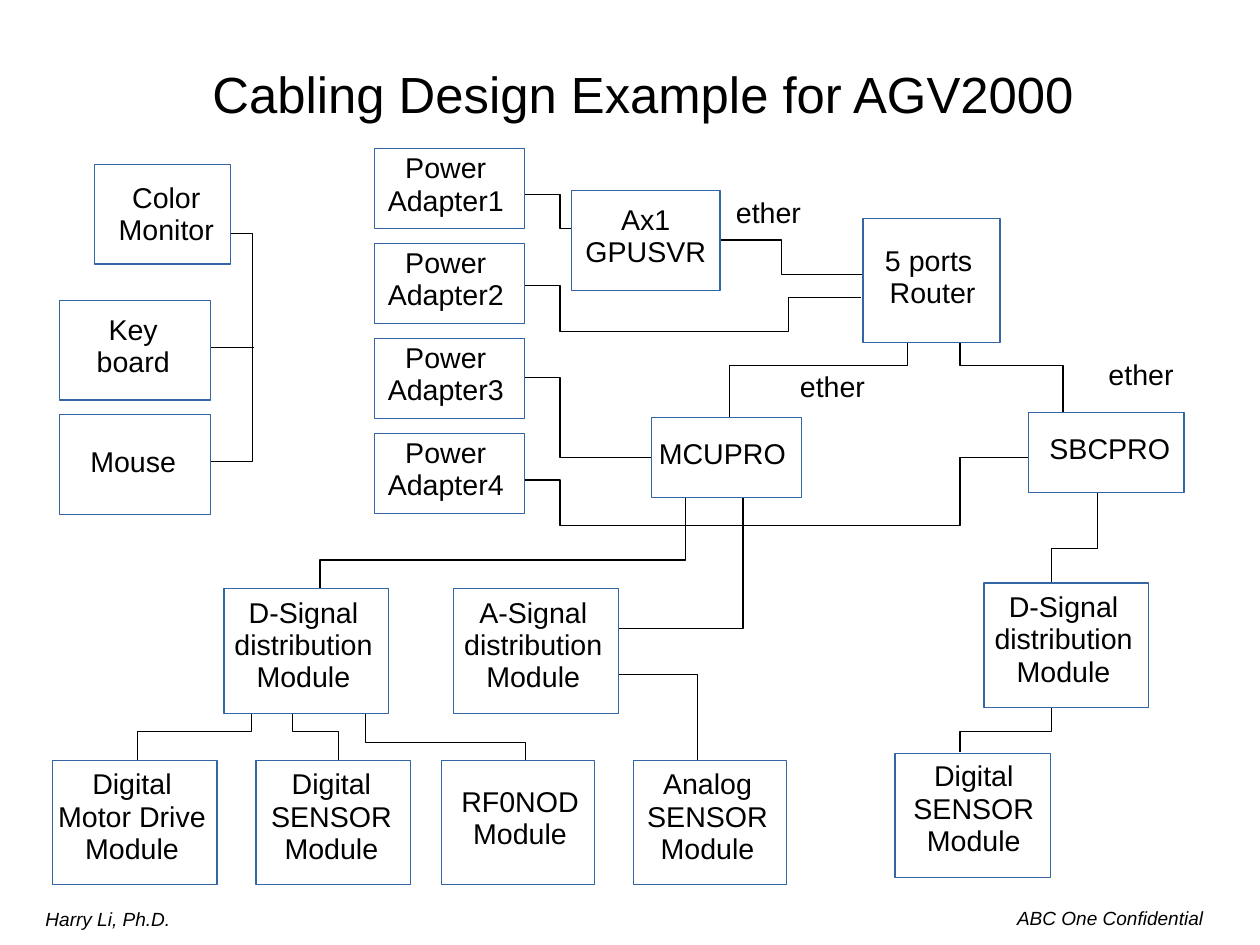
from dataclasses import dataclass

import pptx
import pptx.dml.color
import pptx.enum.shapes
import pptx.enum.text
import pptx.oxml.ns
import pptx.shapes.base
import pptx.slide
import pptx.util
from lxml import etree

Inches = pptx.util.Inches
Pt = pptx.util.Pt

BLACK = pptx.dml.color.RGBColor(0x00, 0x00, 0x00)
WHITE = pptx.dml.color.RGBColor(0xFF, 0xFF, 0xFF)
BORDER_BLUE = pptx.dml.color.RGBColor(0x34, 0x65, 0xA4)

LEFT = pptx.enum.text.PP_ALIGN.LEFT
CENTER = pptx.enum.text.PP_ALIGN.CENTER
LINE_WIDTH = Pt(0.75)
CENTIMETERS_PER_INCH = 2.54

FRAME_FORMAT = {
    "word_wrap": True,
    "margin_left": Inches(0.1),
    "margin_right": Inches(0.1),
    "margin_top": Inches(0.05),
    "margin_bottom": Inches(0.05),
}
TITLE_FRAME_FORMAT = FRAME_FORMAT | {
    "margin_left": 0,
    "margin_right": 0,
    "margin_top": Inches(0.04),
    "margin_bottom": 0,
    "vertical_anchor": pptx.enum.text.MSO_ANCHOR.MIDDLE,
}
FONT_FORMAT = {"name": "Arial", "size": Pt(18), "italic": False}
TITLE_FONT_FORMAT = FONT_FORMAT | {"size": Pt(32)}
FOOTER_FONT_FORMAT = FONT_FORMAT | {"size": Pt(12), "italic": True}


@dataclass(frozen=True)
class Area:
    left: float
    top: float
    width: float
    height: float

    def lengths(self) -> list[int]:
        return [Inches(value) for value in (self.left, self.top, self.width, self.height)]


@dataclass(frozen=True)
class Block:
    text: str
    box: Area
    text_area: Area


@dataclass(frozen=True)
class Cable:
    points: tuple[tuple[float, float], ...]


ADAPTERS = [
    Block(
        f"Power\nAdapter{number + 1}",
        Area(3.28, 1.3 + 0.83 * number, 1.31, 0.7),
        Area(3.1, 1.29 + 0.83 * number, 1.6, 0.68),
    )
    for number in range(4)
]
DISTRIBUTORS = [
    Block(
        f"{signal}-Signal distribution Module",
        Area(left, top, 1.44, 1.09),
        Area(left - 0.05, top + 0.03, 1.49, 0.96),
    )
    for signal, left, top in (("D", 1.96, 5.15), ("A", 3.97, 5.15), ("D", 8.61, 5.1))
]
BLOCKS = ADAPTERS + DISTRIBUTORS + [
    Block("Ax1 GPUSVR", Area(5, 1.67, 1.3, 0.87), Area(5, 1.74, 1.3, 0.68)),
    Block("5 ports \nRouter", Area(7.55, 1.91, 1.2, 1.09), Area(7.53, 2.1, 1.26, 0.68)),
    Block("MCUPRO", Area(5.7, 3.65, 1.31, 0.7), Area(5.52, 3.79, 1.6, 0.4)),
    Block("SBCPRO", Area(9, 3.61, 1.36, 0.7), Area(8.91, 3.75, 1.6, 0.4)),
    Block("Color Monitor", Area(0.83, 1.44, 1.19, 0.87), Area(0.89, 1.55, 1.13, 0.68)),
    Block("Key\nboard", Area(0.52, 2.63, 1.32, 0.87), Area(0.66, 2.7, 1.01, 0.68)),
    Block("Mouse", Area(0.52, 3.63, 1.32, 0.87), Area(0.66, 3.86, 1.01, 0.54)),
    Block("Digital\nMotor Drive\nModule", Area(0.46, 6.65, 1.44, 1.09), Area(0.41, 6.68, 1.49, 0.96)),
    Block("Digital SENSOR\nModule", Area(2.24, 6.65, 1.35, 1.09), Area(2.1, 6.68, 1.6, 0.96)),
    Block("RF0NOD\nModule", Area(3.86, 6.65, 1.34, 1.09), Area(3.9, 6.83, 1.3, 0.68)),
    Block("Analog\nSENSOR\nModule", Area(5.54, 6.65, 1.34, 1.09), Area(5.5, 6.68, 1.38, 0.96)),
    Block("Digital SENSOR\nModule", Area(7.83, 6.59, 1.36, 1.09), Area(7.85, 6.61, 1.34, 0.96)),
]
CABLES = [
    Cable(((6.3, 2.1), (6.84, 2.1), (6.84, 2.4), (7.55, 2.4))),
    Cable(((6.38, 3.65), (6.38, 3.2), (7.94, 3.2), (7.94, 3))),
    Cable(((8.4, 3), (8.4, 3.2), (9.3, 3.2), (9.3, 3.61))),
    Cable(((2.01, 2.04), (2.21, 2.04), (2.21, 4.04), (1.84, 4.04))),
    Cable(((4.58, 1.7), (4.9, 1.7), (4.9, 2), (5, 2))),
    Cable(((4.58, 2.5), (4.9, 2.5), (4.9, 2.9), (6.9, 2.9), (6.9, 2.6), (7.53, 2.6))),
    Cable(((4.58, 3.3), (4.9, 3.3), (4.9, 4), (5.7, 4))),
    Cable(((4.58, 4.2), (4.9, 4.2), (4.9, 4.6), (8.4, 4.6), (8.4, 4), (9, 4))),
    Cable(((6, 4.35), (6, 4.9), (2.8, 4.9), (2.8, 5.15))),
    Cable(((6.5, 4.35), (6.5, 5.5), (5.41, 5.5))),
    Cable(((2.2, 6.23), (2.2, 6.4), (1.2, 6.4), (1.2, 6.65))),
    Cable(((2.56, 6.23), (2.56, 6.4), (2.96, 6.4), (2.96, 6.67))),
    Cable(((3.2, 6.23), (3.2, 6.5), (4.6, 6.5), (4.6, 7))),
    Cable(((5.41, 5.9), (6.1, 5.9), (6.1, 6.65))),
    Cable(((9.6, 4.31), (9.6, 4.8), (9.2, 4.8), (9.2, 5.13))),
    Cable(((9.2, 6.19), (9.2, 6.4), (8.4, 6.4), (8.4, 6.58))),
]
ETHER_POSITIONS = ((9.6, 3.1), (6.9, 3.2), (6.34, 1.68))


def apply_format(target: object, values: dict) -> None:
    for name, value in values.items():
        setattr(target, name, value)


def set_line(shape: pptx.shapes.base.BaseShape, color: pptx.dml.color.RGBColor) -> None:
    shape.line.color.rgb = color
    shape.line.width = LINE_WIDTH


def add_text(
    slide: pptx.slide.Slide,
    text: str,
    area: Area,
    alignment: pptx.enum.text.PP_ALIGN = LEFT,
    font_format: dict = FONT_FORMAT,
    frame_format: dict = FRAME_FORMAT,
) -> None:
    frame = slide.shapes.add_textbox(*area.lengths()).text_frame
    apply_format(frame, frame_format)
    frame.text = text
    for paragraph in frame.paragraphs:
        apply_format(paragraph, {"alignment": alignment, "line_spacing": 0.94})
        for run in paragraph.runs:
            apply_format(run.font, font_format)
            run.font.color.rgb = BLACK


def add_block(slide: pptx.slide.Slide, block: Block) -> None:
    shape = slide.shapes.add_shape(
        pptx.enum.shapes.MSO_SHAPE.RECTANGLE, *block.box.lengths()
    )
    shape.shadow.inherit = False
    shape.fill.solid()
    shape.fill.fore_color.rgb = WHITE
    set_line(shape, BORDER_BLUE)
    add_text(slide, block.text, block.text_area, CENTER)


def add_cable(slide: pptx.slide.Slide, cable: Cable) -> None:
    start, *corners = [(Inches(x), Inches(y)) for x, y in cable.points]
    builder = slide.shapes.build_freeform(*start)
    builder.add_line_segments(corners, close=False)
    shape = builder.convert_to_shape()
    shape.shadow.inherit = False
    shape.fill.background()
    set_line(shape, BLACK)


def add_keyboard_cable(slide: pptx.slide.Slide) -> None:
    connector = slide.shapes.add_connector(
        pptx.enum.shapes.MSO_CONNECTOR.STRAIGHT,
        Inches(2.22), Inches(3.04), Inches(1.84), Inches(3.04),
    )
    set_line(connector, BLACK)
    etree.SubElement(connector.element.spPr, pptx.oxml.ns.qn("a:effectLst"))


def main() -> None:
    presentation = pptx.Presentation()
    presentation.slide_width = Inches(28 / CENTIMETERS_PER_INCH)
    presentation.slide_height = Inches(21 / CENTIMETERS_PER_INCH)
    slide = presentation.slides.add_slide(presentation.slide_layouts[6])
    add_text(
        slide, "Cabling Design Example for AGV2000", Area(0.67, 0.13, 9.92, 1.38),
        CENTER, TITLE_FONT_FORMAT, TITLE_FRAME_FORMAT,
    )
    add_text(slide, "Harry Li, Ph.D.", Area(0.3, 7.91, 2.7, 0.29), font_format=FOOTER_FONT_FORMAT)
    add_text(slide, "ABC One Confidential", Area(8.8, 7.9, 2.1, 0.3), font_format=FOOTER_FONT_FORMAT)
    for cable in CABLES:
        add_cable(slide, cable)
    add_keyboard_cable(slide)
    for block in BLOCKS:
        add_block(slide, block)
    for left, top in ETHER_POSITIONS:
        add_text(slide, "ether", Area(left, top, 0.9, 0.4))
    presentation.save("out.pptx")


if __name__ == "__main__":
    main()
